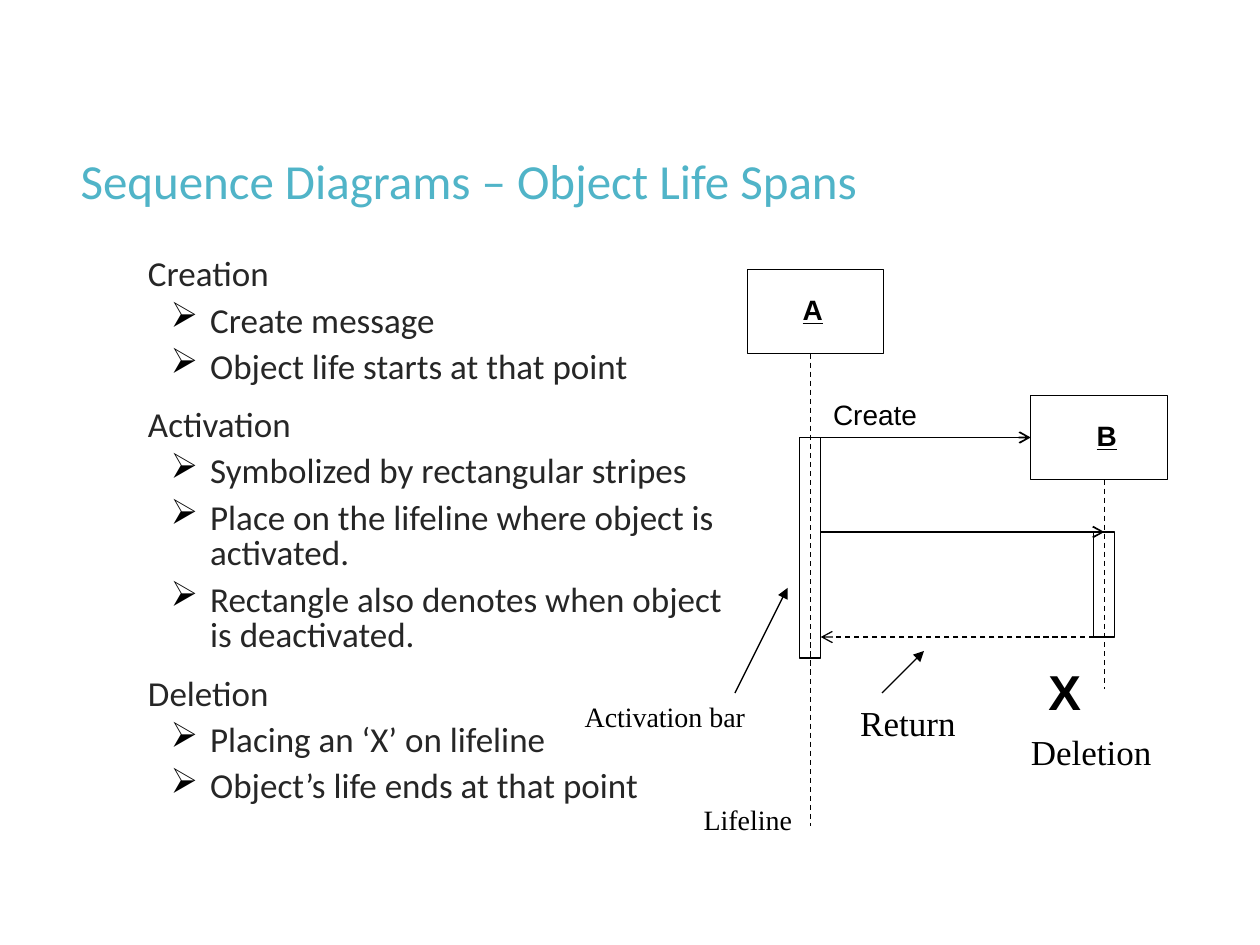
from dataclasses import dataclass

from lxml import etree
from pptx import Presentation
from pptx import util as u
from pptx.dml import color
from pptx.enum import dml, shapes, text
from pptx.oxml import ns


@dataclass(frozen=True)
class Theme:
    """Colours, fonts, type sizes and line widths of the slide."""
    title: str = "50B4C8"
    body: str = "262626"
    ink: str = "000000"
    main_font: str = "Calibri"
    object_font: str = "Arial"
    note_font: str = "Times New Roman"
    large: int = 28
    medium: int = 20
    small: int = 16
    thin: float = 0.75
    message: float = 1


T = Theme()

OUTLINE = [
    ("Creation", ["Create message", "Object life starts at that point"]),
    ("Activation", ["Symbolized by rectangular stripes",
                    "Place on the lifeline where object is activated.",
                    "Rectangle also denotes when object is deactivated."]),
    ("Deletion", ["Placing an ‘X’ on lifeline", "Object’s life ends at that point"]),
]

NOTES = [
    ("Activation bar", (327, 396, 123, 27), T.small),
    ("Deletion", (582, 414, 83, 32), T.medium),
    ("Return", (484.5, 397.5, 69, 32), T.medium),
    ("Lifeline", (395, 455, 65, 27), T.small),
]


def points(*values):
    """Turn numbers into lengths in points."""
    return [u.Pt(v) for v in values]


def write(p, content, font=T.main_font, size=T.medium, rgb=T.ink, bold=False,
          underline=False, spacing=1.0, before=0):
    """Fill a paragraph with one formatted run."""
    p.line_spacing = spacing
    p.space_before = u.Pt(before)
    r = p.add_run()
    r.text = content
    r.font.name, r.font.size = font, u.Pt(size)
    r.font.bold, r.font.underline = bold, underline
    r.font.color.rgb = color.RGBColor.from_string(rgb)


def add_frame(s, box, anchor=text.MSO_ANCHOR.TOP):
    """Add an empty wrapping text box and return its text frame."""
    tf = s.shapes.add_textbox(*points(*box)).text_frame
    tf.word_wrap = True
    tf.vertical_anchor = anchor
    return tf


def add_label(s, content, box, **fmt):
    """Add a one-line label."""
    tf = add_frame(s, box)
    tf.margin_right = 0
    write(tf.paragraphs[0], content, **fmt)


def indent(p, left, bullet=None, hang=0):
    """Indent a paragraph and give it an optional hanging bullet."""
    pPr = p._p.get_or_add_pPr()
    pPr.set("marL", str(u.Pt(left)))
    pPr.set("indent", str(-u.Pt(hang)))
    if bullet:
        clr = etree.SubElement(pPr, ns.qn("a:buClr"))
        etree.SubElement(clr, ns.qn("a:srgbClr"), val=T.ink)
        etree.SubElement(pPr, ns.qn("a:buChar"), char=bullet)


def add_outline(s, box):
    """Add the headings with their bulleted points."""
    tf = add_frame(s, box)
    p = tf.paragraphs[0]
    for i, (heading, items) in enumerate(OUTLINE):
        if i:
            p = tf.add_paragraph()
        write(p, heading, rgb=T.body, spacing=0.85, before=13)
        indent(p, 23)
        for item in items:
            p = tf.add_paragraph()
            p.level = 1
            write(p, item, rgb=T.body, spacing=0.85, before=6)
            indent(p, 58.5, "➢", 22.5)


def set_line(sp, width):
    """Give a shape or connector a plain black line."""
    sp.line.color.rgb = color.RGBColor.from_string(T.ink)
    sp.line.width = u.Pt(width)


def add_box(s, box):
    """Add an unfilled outlined rectangle."""
    sp = s.shapes.add_shape(shapes.MSO_SHAPE.RECTANGLE, *points(*box))
    sp.shadow.inherit = False
    sp.fill.background()
    set_line(sp, T.thin)
    return sp


def add_line(s, start, end, width=T.thin, dashed=False, head=None):
    """Add a straight connector with an optional arrowhead."""
    c = s.shapes.add_connector(shapes.MSO_CONNECTOR.STRAIGHT, *points(*start, *end))
    set_line(c, width)
    if dashed:
        c.line.dash_style = dml.MSO_LINE.DASH
    if head:
        etree.SubElement(c.line._get_or_add_ln(), ns.qn("a:tailEnd"), type=head)
    etree.SubElement(c._element.spPr, ns.qn("a:effectLst"))
    return c


def add_object(s, name, left, top, life_x, life_end, bar_top, bar_height):
    """Add an object head, its lifeline and its activation bar."""
    width, height, bar_width = 78, 48, 12
    head = add_box(s, (left, top, width, height))
    add_label(s, name, (life_x - 11.5, top + 9.5, 26, 27), font=T.object_font,
              size=T.small, bold=True, underline=True, before=10)
    add_line(s, (life_x, top + height), (life_x, life_end), dashed=True)
    bar = add_box(s, (life_x - bar_width / 2, bar_top, bar_width, bar_height))
    return head, bar


def add_diagram(s):
    """Add the sequence diagram of objects A and B."""
    _, bar_a = add_object(s, "A", 427, 154, 463, 472, 250, 126)
    head_b, bar_b = add_object(s, "B", 589, 226, 631, 394, 304, 60)
    create = add_line(s, (463, 250), (589, 250), T.message, head="arrow")
    create.begin_connect(bar_a, 0)
    create.end_connect(head_b, 1)
    call = add_line(s, (469, 304), (631, 304), T.message, head="arrow")
    call.end_connect(bar_b, 0)
    add_line(s, (625, 364), (469, 364), dashed=True, head="arrow")
    add_label(s, "Create", (469, 226, 108, 24.5), font=T.object_font, size=T.small,
              spacing=0.9, before=4)
    add_label(s, "X", (592, 378, 78, 37), font=T.object_font, size=T.large,
              bold=True, spacing=0.9, before=7)
    for content, box, size in NOTES:
        add_label(s, content, box, font=T.note_font, size=size)
    add_line(s, (504, 396), (528, 372), head="triangle")
    add_line(s, (420, 396), (450, 336), head="triangle")


def main():
    """Build and save the slide."""
    prs = Presentation()
    prs.slide_width, prs.slide_height = points(720, 540)
    s = prs.slides.add_slide(prs.slide_layouts[6])
    tf = add_frame(s, (39, 39.5, 636.5, 130.5), text.MSO_ANCHOR.MIDDLE)
    write(tf.paragraphs[0], "Sequence Diagrams – Object Life Spans",
          size=T.large, rgb=T.title, spacing=0.9)
    add_outline(s, (54.5, 144, 371, 342))
    add_diagram(s)
    prs.save("out.pptx")


if __name__ == "__main__":
    main()
